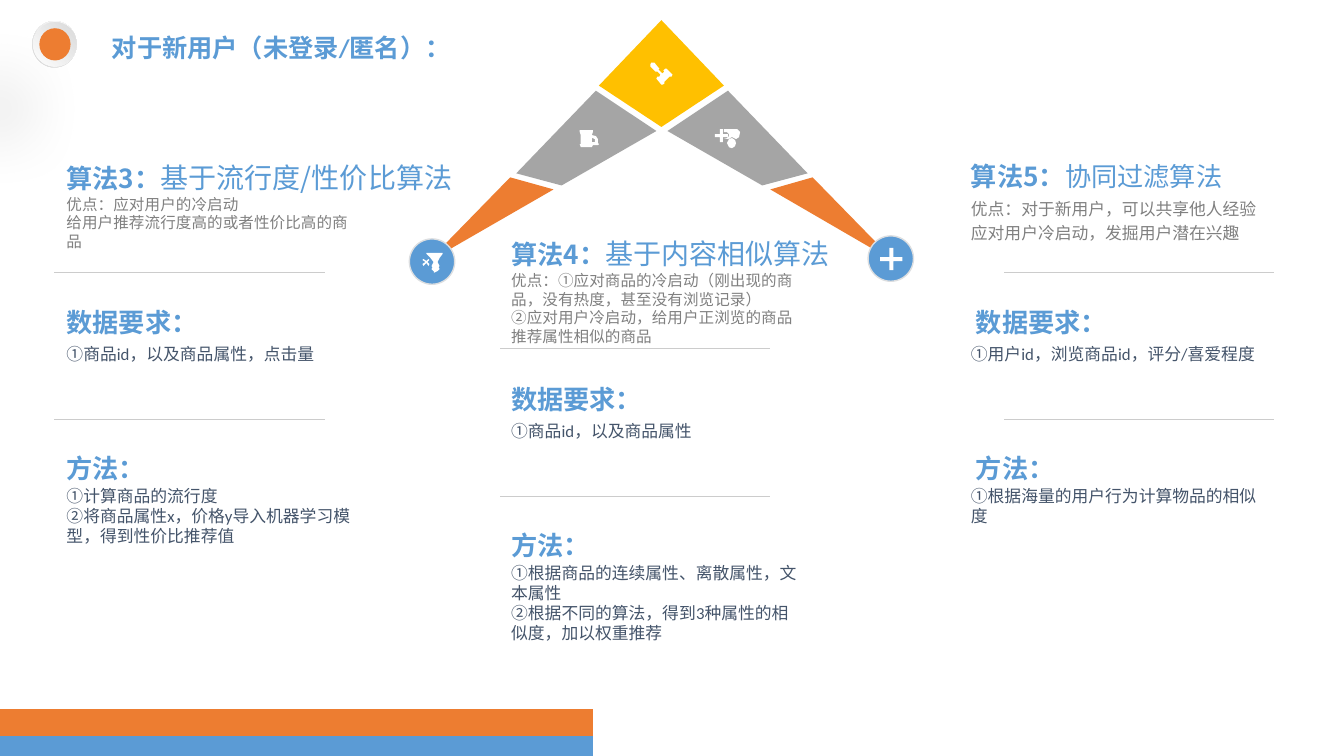
from lxml.etree import SubElement
from pptx import Presentation
from pptx.dml.color import RGBColor
from pptx.enum.shapes import MSO_CONNECTOR, MSO_SHAPE
from pptx.enum.text import MSO_ANCHOR, MSO_AUTO_SIZE, PP_ALIGN
from pptx.oxml.ns import qn
from pptx.util import Inches, Pt

COLORS = {
    "blue": "5B9BD5", "orange": "ED7D31", "gold": "FFC000", "gray": "A5A5A5",
    "white": "FFFFFF", "near_white": "FEFEFE", "silver": "D9D9D9",
    "rim": "DCDEE0", "rule": "CCCCCC", "muted": "808080", "ink": "44546A",
}
CJK = "Noto Sans CJK SC"
LATIN = "Calibri"
TEXT_WIDTH = 2.86
RULE_WIDTH = 2.68

ARCH = [
    ("orange", [(806, 176), (764, 188), (888, 260)]),
    ("orange", [(506, 176), (549, 188), (424, 260)]),
    ("gray", [(756, 184), (801, 172), (722, 90), (662, 130)]),
    ("gray", [(557, 184), (512, 172), (591, 90), (651, 130)]),
    ("gold", [(656, 126), (718, 85), (656, 20), (594, 85)]),
]
ICONS = {
    "funnel": [
        [(423, 261), (425, 264), (426, 262), (424, 260), (426, 258), (425, 257),
         (423, 259), (420, 257), (419, 258), (422, 260), (419, 262), (420, 264)],
        [(423, 252), (427, 256), (430, 260), (429, 262), (428, 264), (429, 265),
         (428, 267), (431, 270), (430, 271), (434, 269), (436, 267), (435, 265),
         (436, 264), (435, 262), (434, 260), (436, 256), (439, 252), (439, 251),
         (423, 251)],
    ],
    "medical": [
        [(709, 136), (709, 133), (714, 133), (714, 128), (717, 128), (717, 133),
         (722, 133), (722, 136), (717, 136), (717, 141), (714, 141), (714, 136)],
        [(730, 142), (729, 145), (726, 147), (723, 146), (721, 142), (723, 138),
         (726, 137), (729, 139)],
        [(721, 131), (718, 131), (718, 128), (731, 128), (734, 131), (733, 136),
         (730, 138), (726, 136), (722, 138), (718, 137), (721, 137), (723, 135),
         (723, 133)],
    ],
    "mug": [
        [(587, 141), (590, 141), (590, 138), (588, 137), (587, 137)],
        [(575, 129), (588, 129), (588, 131), (587, 134), (591, 135), (593, 138),
         (593, 142), (594, 143), (593, 144), (588, 144), (587, 146), (576, 146),
         (575, 143), (576, 143), (576, 134), (575, 131)],
    ],
    "gavel": [
        [(645, 64), (646, 62), (649, 62), (653, 67), (654, 68), (653, 69),
         (657, 73), (659, 71), (658, 70), (660, 68), (661, 68), (666, 73),
         (667, 74), (666, 76), (664, 76), (659, 81), (659, 83), (657, 84),
         (656, 84), (651, 78), (652, 76), (654, 76), (655, 74), (652, 71),
         (650, 71), (645, 66)],
    ],
}
COLUMNS = [
    {"left": 0.66, "label_left": 0.66, "rule_left": 0.54, "drop": 0,
     "number": "算法3：", "name": "基于流行度/性价比算法", "name_size": 20,
     "name_width": 4.3,
     "benefits": ["优点：应对用户的冷启动", "给用户推荐流行度高的或者性价比高的商品"],
     "benefit_size": 11.1, "benefit_spacing": 1,
     "data": ["①商品id，以及商品属性，点击量"],
     "method": ["①计算商品的流行度", "②将商品属性x，价格y导入机器学习模型，得到性价比推荐值"]},
    {"left": 5.07, "label_left": 5.07, "rule_left": 4.96, "drop": 0.76,
     "number": "算法4：", "name": "基于内容相似算法", "name_size": 20,
     "name_width": 3.5,
     "benefits": ["优点：①应对商品的冷启动（刚出现的商品，没有热度，甚至没有浏览记录）",
                  "②应对用户冷启动，给用户正浏览的商品推荐属性相似的商品"],
     "benefit_size": 11.1, "benefit_spacing": 1,
     "data": ["①商品id，以及商品属性"],
     "method": ["①根据商品的连续属性、离散属性，文本属性",
                "②根据不同的算法，得到3种属性的相似度，加以权重推荐"]},
    {"left": 9.63, "label_left": 9.68, "rule_left": 9.96, "drop": 0,
     "number": "算法5：", "name": "协同过滤算法", "name_size": 18.7,
     "name_width": TEXT_WIDTH,
     "benefits": ["优点：对于新用户，可以共享他人经验", "应对用户冷启动，发掘用户潜在兴趣"],
     "benefit_size": 12, "benefit_spacing": 1.2,
     "data": ["①用户id，浏览商品id，评分/喜爱程度"],
     "method": ["①根据海量的用户行为计算物品的相似度"]},
]


def rgb(name):
    return RGBColor.from_string(COLORS[name])


class SlideBuilder:
    def __init__(self, page):
        self.page = page
        self.shapes = page.shapes

    def style(self, font, size, color, bold=False, name=CJK):
        font.size, font.bold, font.name = Pt(size), bold, name
        font.color.rgb = rgb(color)

    def set_east_asian(self, frame):
        for latin in list(frame._txBody.iter(qn("a:latin"))):
            SubElement(latin.getparent(), qn("a:ea"), typeface=CJK)

    def clear_margins(self, frame):
        frame.margin_left = frame.margin_right = 0
        frame.margin_top = frame.margin_bottom = 0

    def title(self, text):
        box = self.shapes.title
        box.left, box.top = Inches(1.11), Inches(0.2)
        box.width, box.height = Inches(3.8), Inches(0.42)
        frame = box.text_frame
        self.clear_margins(frame)
        frame.auto_size = MSO_AUTO_SIZE.NONE
        frame.vertical_anchor = MSO_ANCHOR.BOTTOM
        frame.text = text
        para = frame.paragraphs[0]
        para.alignment = PP_ALIGN.LEFT
        self.style(para.font, 18, "blue", True, LATIN)
        self.set_east_asian(frame)

    def text_frame(self, left, top, height, width=TEXT_WIDTH):
        box = self.shapes.add_textbox(
            Inches(left), Inches(top), Inches(width), Inches(height))
        self.clear_margins(box.text_frame)
        box.text_frame.word_wrap = True
        return box.text_frame

    def heading(self, left, top, label, name="", name_size=18.7, width=TEXT_WIDTH):
        frame = self.text_frame(left, top, 0.34, width)
        para = frame.paragraphs[0]
        self.style(para.font, 18.7, "blue", True)
        para.add_run().text = label
        if name:
            span = para.add_run()
            span.text = name
            self.style(span.font, name_size, "blue")
        self.set_east_asian(frame)

    def body(self, left, top, lines, size=12, color="ink", font=LATIN, spacing=1):
        frame = self.text_frame(left, top, 0.56)
        frame.text = "\n".join(lines)
        for para in frame.paragraphs:
            para.line_spacing = spacing
            self.style(para.font, size, color, name=font)
        self.set_east_asian(frame)

    def shape(self, kind, left, top, width, height, color=None, line=None):
        shape = self.shapes.add_shape(
            kind, Inches(left), Inches(top), Inches(width), Inches(height))
        return self.paint(shape, color, line)

    def paint(self, shape, color, line=None):
        shape.shadow.inherit = False
        if color:
            shape.fill.solid()
            shape.fill.fore_color.rgb = rgb(color)
        if line:
            shape.line.color.rgb = rgb(line)
            shape.line.width = Pt(1)
        else:
            shape.line.fill.background()
        return shape

    def gradient(self, shape, stops, radial=False):
        shape.fill.gradient()
        shape.fill.gradient_angle = 270
        for stop, (position, color) in zip(shape.fill.gradient_stops, stops):
            stop.position = position
            stop.color.rgb = rgb(color)
        if radial:
            gradient = shape.element.spPr.find(qn("a:gradFill"))
            gradient.remove(gradient.find(qn("a:lin")))
            circle = SubElement(gradient, qn("a:path"), {"path": "circle"})
            SubElement(circle, qn("a:fillToRect"), l="100000", b="100000")

    def soft_shadow(self, shape):
        effects = shape.element.spPr.find(qn("a:effectLst"))
        shadow = SubElement(effects, qn("a:outerShdw"), blurRad=str(Pt(50)),
                            dist=str(Pt(60)), dir=str(130 * 60000), rotWithShape="0")
        tint = SubElement(shadow, qn("a:srgbClr"), val="000000")
        SubElement(tint, qn("a:alpha"), val="20000")

    def outline(self, color, contours):
        first, *others = contours
        builder = self.shapes.build_freeform(*first[0], scale=Inches(0.01))
        builder.add_line_segments(first[1:])
        for contour in others:
            builder.move_to(*contour[0])
            builder.add_line_segments(contour[1:])
        self.paint(builder.convert_to_shape(), color)

    def rule(self, left, top):
        line = self.shapes.add_connector(
            MSO_CONNECTOR.STRAIGHT, Inches(left), Inches(top),
            Inches(left + RULE_WIDTH), Inches(top))
        line.line.color.rgb = rgb("rule")
        line.line.width = Pt(0.5)
        SubElement(line.element.spPr, qn("a:effectLst"))

    def column(self, column):
        left, drop = column["left"], column["drop"]
        self.heading(left, 1.59 + drop, column["number"], column["name"],
                     column["name_size"], column["name_width"])
        self.body(left, 1.93 + drop, column["benefits"], column["benefit_size"],
                  "muted", CJK, column["benefit_spacing"])
        sections = [("数据要求：", column["data"], 1.2), ("方法：", column["method"], 1)]
        for index, (label, lines, spacing) in enumerate(sections):
            top = 3.04 + drop + 1.45 * index
            self.rule(column["rule_left"], 2.7 + drop + 1.46 * index)
            self.heading(column["label_left"], top, label)
            self.body(left, top + 0.33, lines, spacing=spacing)


def main():
    deck = Presentation()
    deck.slide_width, deck.slide_height = Inches(13.33), Inches(7.5)
    builder = SlideBuilder(deck.slides.add_slide(deck.slide_layouts[5]))

    halo = builder.shape(MSO_SHAPE.OVAL, 0.32, 0.21, 0.44, 0.46)
    builder.gradient(halo, [(0, "white"), (1, "silver")], True)
    builder.soft_shadow(halo)
    ring = builder.shape(MSO_SHAPE.OVAL, 0.33, 0.22, 0.43, 0.44)
    builder.gradient(ring, [(0, "silver"), (1, "near_white")], True)
    builder.shape(MSO_SHAPE.OVAL, 0.39, 0.28, 0.31, 0.32, "orange")
    footer = builder.shape(MSO_SHAPE.RECTANGLE, 0, 7.03, 5.88, 0.47)
    builder.gradient(footer, [(0.58, "orange"), (0.58, "blue")])
    builder.title("对于新用户（未登录/匿名）：")

    for color, points in ARCH:
        builder.outline(color, [points])
    for left, top in [(8.61, 2.34), (4.06, 2.37)]:
        builder.shape(MSO_SHAPE.OVAL, left, top, 0.45, 0.45, "blue", "rim")
    plus = builder.shape(MSO_SHAPE.CROSS, 8.73, 2.46, 0.22, 0.22, "white")
    plus.adjustments[0] = 0.41
    for contours in ICONS.values():
        builder.outline("white", contours)

    for column in COLUMNS:
        builder.column(column)
    deck.save("out.pptx")


if __name__ == "__main__":
    main()
